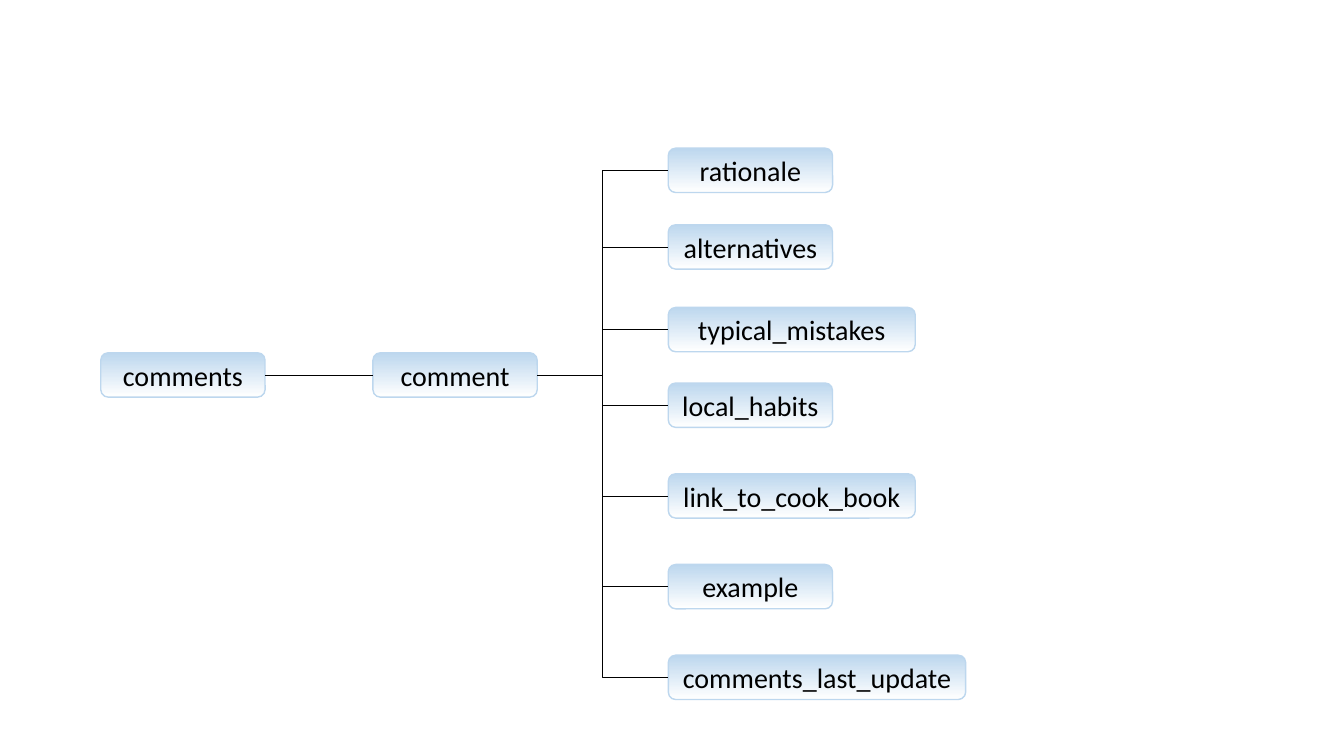
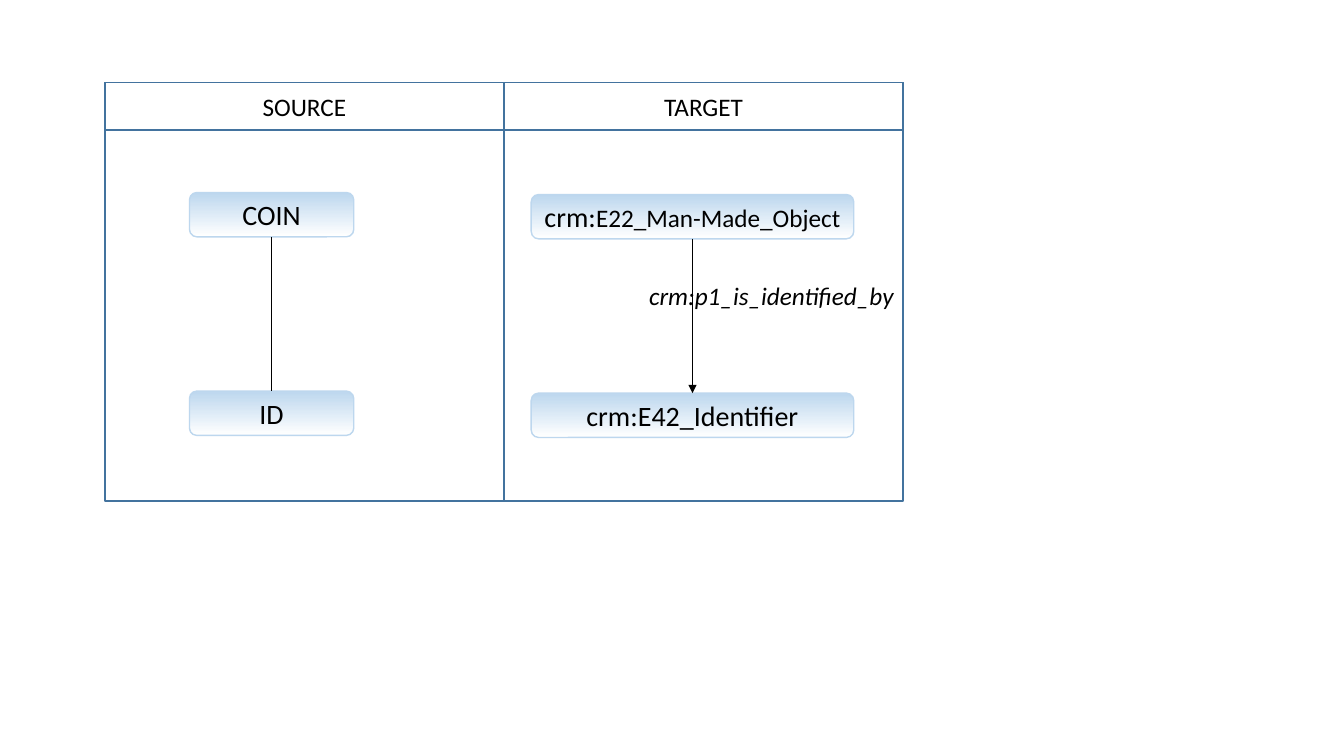
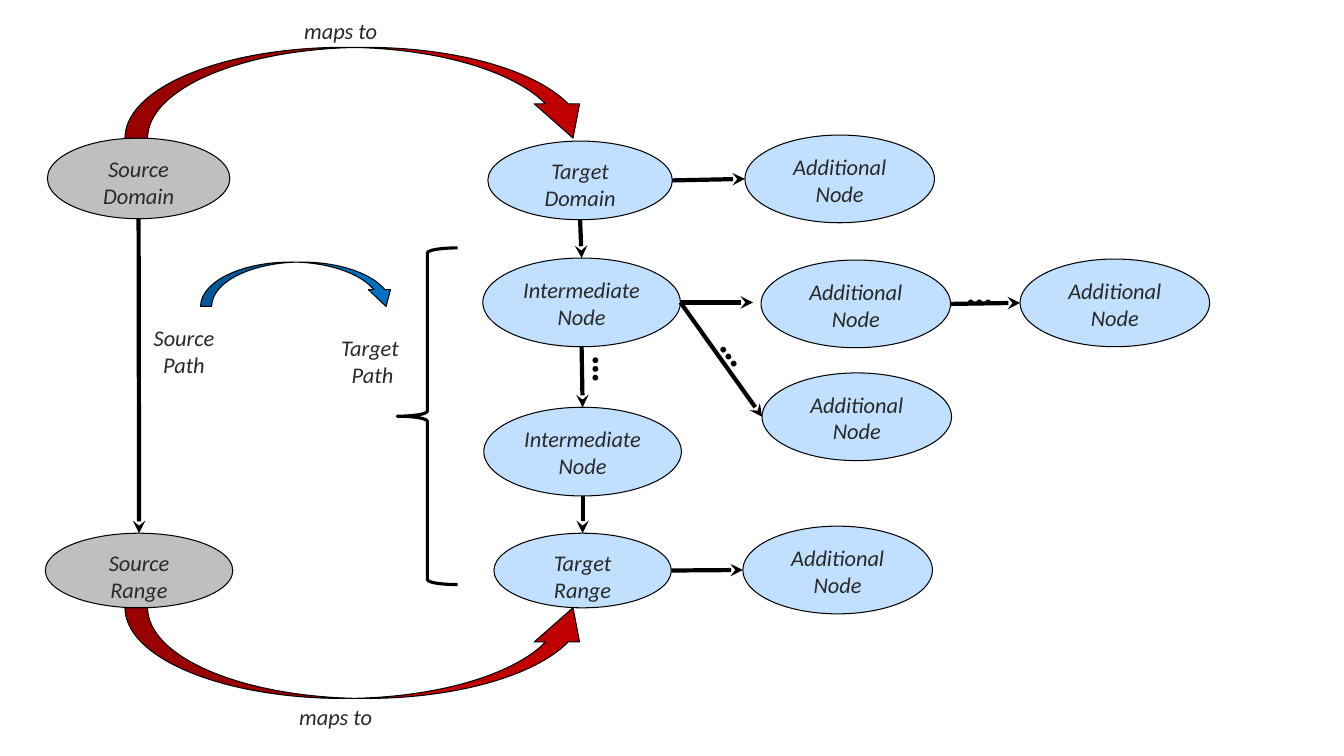
from dataclasses import dataclass

from lxml.etree import SubElement
from pptx import Presentation
from pptx.dml.color import RGBColor
from pptx.enum.shapes import MSO_CONNECTOR, MSO_SHAPE
from pptx.enum.text import MSO_ANCHOR, MSO_AUTO_SIZE, PP_ALIGN
from pptx.oxml.ns import qn
from pptx.util import Inches, Pt

CELL = Inches(0.1)
COLUMNS, ROWS = 133.33, 75
BLACK, INK, WHITE = "000000", "292929", "FFFFFF"
PALE_BLUE, NODE_BLUE, NODE_GREY = "BDD7EE", "C1E0FF", "BFBFBF"
FRAME_BLUE, ARROW_RED, ARROW_BLUE = "43739E", "C00000", "0070C0"
TAG_HEIGHT, TAG_WIDTH = 4.4, 16.3
SITES = {"top": 0, "left": 1, "bottom": 2, "right": 3}
TAG_TEXT = {"size": Pt(20), "name": "Calibri"}
HEAD_TEXT = {"size": Pt(18), "name": "Calibri"}
RELATION_TEXT = {**HEAD_TEXT, "italic": True}
NODE_TEXT = {"size": Pt(16), "name": "Calibri", "italic": True}
DOTS_TEXT = {"size": Pt(28), "name": "Calibri", "bold": True}
CENTRED_FRAME = {"vertical_anchor": MSO_ANCHOR.MIDDLE, "word_wrap": True}
TOP_FRAME = {"vertical_anchor": MSO_ANCHOR.TOP, "word_wrap": True}
LABEL_FRAME = {"word_wrap": False, "auto_size": MSO_AUTO_SIZE.SHAPE_TO_FIT_TEXT}


@dataclass
class Box:
    """A region measured in grid columns and rows."""
    left: float
    top: float
    width: float
    height: float

    def area(self, left, top, width, height):
        """Return a region offset from this one's corner."""
        return Box(self.left + left, self.top + top, width, height)

    def lengths(self):
        """Return left, top, width and height in drawing units."""
        return [round(value * CELL)
                for value in (self.left, self.top, self.width, self.height)]


def colour(code):
    """Turn a hex string into a colour."""
    return RGBColor.from_string(code)


def set_all(target, formats):
    """Set every attribute listed in the formats."""
    for name, value in formats.items():
        setattr(target, name, value)


def write(frame, lines, frame_format, ink=BLACK, align=PP_ALIGN.CENTER):
    """Fill a text frame with lines, each a list of text and font formats."""
    set_all(frame, frame_format)
    for index, pieces in enumerate(lines):
        paragraph = frame.add_paragraph() if index else frame.paragraphs[0]
        paragraph.alignment = align
        for text, font_format in pieces:
            run = paragraph.add_run()
            run.text = text
            set_all(run.font, font_format)
            run.font.color.rgb = colour(ink)


def outline(slide, preset, box, fill=None, line=BLACK, width=0.75):
    """Draw a preset shape with a plain fill or none."""
    shape = slide.shapes.add_shape(preset, *box.lengths())
    shape.shadow.inherit = False
    if fill:
        shape.fill.solid()
        shape.fill.fore_color.rgb = colour(fill)
    else:
        shape.fill.background()
    shape.line.color.rgb = colour(line)
    shape.line.width = Pt(width)
    return shape


def tag(slide, box, *pieces):
    """Draw a rounded tag that fades from blue to white."""
    shape = outline(slide, MSO_SHAPE.ROUNDED_RECTANGLE, box, None, PALE_BLUE, 1)
    shape.fill.gradient()
    shape.fill.gradient_angle = 270
    for stop, code in zip(shape.fill.gradient_stops, (PALE_BLUE, WHITE)):
        stop.color.rgb = colour(code)
    write(shape.text_frame, [pieces], CENTRED_FRAME)
    return shape


def node(slide, box, text, fill=NODE_BLUE):
    """Draw an elliptical node with its name."""
    shape = outline(slide, MSO_SHAPE.OVAL, box, fill)
    write(shape.text_frame, [[(text, NODE_TEXT)]], TOP_FRAME, INK)
    return shape


def label(slide, box, lines, font_format, ink=INK, align=PP_ALIGN.CENTER, turn=0):
    """Place free text, turned by the given degrees."""
    text_box = slide.shapes.add_textbox(*box.lengths())
    write(text_box.text_frame, [[(line, font_format)] for line in lines],
          LABEL_FRAME, ink, align)
    text_box.rotation = turn


def edge(shape, side):
    """Return the middle of one side of a shape."""
    across = {"left": 0, "right": 1}.get(side, 0.5)
    down = {"top": 0, "bottom": 1}.get(side, 0.5)
    return (round(shape.left + across * shape.width),
            round(shape.top + down * shape.height))


def link(slide, start, end, width, head=None, kind=MSO_CONNECTOR.STRAIGHT):
    """Draw a line between two points, with an optional arrowhead."""
    connector = slide.shapes.add_connector(kind, *start, *end)
    connector.line.color.rgb = colour(BLACK)
    connector.line.width = Pt(width)
    properties = connector.element.spPr
    if head:
        SubElement(properties.find(qn("a:ln")), qn("a:tailEnd"), type=head)
    SubElement(properties, qn("a:effectLst"))
    return connector


def join(slide, first, first_side, second, second_side, **options):
    """Glue a thin line to the sides of two tags."""
    connector = link(slide, edge(first, first_side), edge(second, second_side),
                     0.5, **options)
    connector.begin_connect(first, SITES[first_side])
    connector.end_connect(second, SITES[second_side])


def flow(slide, first, first_side, second, second_side):
    """Draw a heavy arrow between the sides of two nodes."""
    link(slide, edge(first, first_side), edge(second, second_side), 3, "stealth")


def curved_arrow(slide, box, fill, upward=False):
    """Draw a curved mapping arrow, mirrored when it bends upward."""
    shape = outline(slide, MSO_SHAPE.CURVED_DOWN_ARROW, box, fill)
    for index, value in enumerate((0.25, 0.5, 0.377)):
        shape.adjustments[index] = value
    if upward:
        shape.element.spPr.find(qn("a:xfrm")).set("flipV", "1")


def comment_tree(slide, box):
    """Draw the comments element and the children of a comment."""
    children = (("rationale", 0, TAG_WIDTH), ("alternatives", 7.6, TAG_WIDTH),
                ("typical_mistakes", 15.8, 24.5), ("local_habits", 23.3, TAG_WIDTH),
                ("link_to_cook_book", 32.3, 24.5), ("example", 41.3, TAG_WIDTH),
                ("comments_last_update", 50.3, 29.5))
    comments, comment = (
        tag(slide, box.area(left, 20.3, TAG_WIDTH, TAG_HEIGHT), (name, TAG_TEXT))
        for name, left in (("comments", 0), ("comment", 27)))
    join(slide, comments, "right", comment, "left")
    for name, top, width in children:
        child = tag(slide, box.area(56.3, top, width, TAG_HEIGHT), (name, TAG_TEXT))
        join(slide, comment, "right", child, "left", kind=MSO_CONNECTOR.ELBOW)


def mapping_panel(slide, box, heading, tags, inset, first_top, width, head=None):
    """Draw a headed panel with two joined tags."""
    upper, lower = (
        tag(slide, box.area(inset, first_top + row * 19.7, width, TAG_HEIGHT), *pieces)
        for row, pieces in enumerate(tags))
    join(slide, upper, "bottom", lower, "top", head=head)
    outline(slide, MSO_SHAPE.RECTANGLE, box, None, FRAME_BLUE, 1)
    header = outline(slide, MSO_SHAPE.RECTANGLE, box.area(0, 0, box.width, 4.7),
                     None, FRAME_BLUE, 1)
    write(header.text_frame, [[(heading, HEAD_TEXT)]], CENTRED_FRAME)


def coin_mapping(slide, box):
    """Set the source and target panels side by side."""
    half = box.width / 2
    source = box.area(0, 0, half, box.height)
    target = box.area(half, 0, half, box.height)
    mapping_panel(slide, source, "SOURCE", ([("COIN", TAG_TEXT)], [("ID", TAG_TEXT)]),
                  8.4, 10.9, TAG_WIDTH)
    mapping_panel(slide, target, "TARGET",
                  ([("crm:", TAG_TEXT), ("E22_Man-Made_Object", HEAD_TEXT)],
                   [("crm:E42_Identifier", TAG_TEXT)]),
                  2.7, 11.1, 32, "triangle")
    label(slide, target.area(13.4, 19.1, 26.9, 4), ["crm:p1_is_identified_by"],
          RELATION_TEXT, BLACK, PP_ALIGN.LEFT)


def source_column(slide, box):
    """Draw the source domain, its range and the path between them."""
    domain = node(slide, box.area(0.2, 0, 18.1, 8), "Source Domain", NODE_GREY)
    extent = node(slide, box.area(0, 39.2, 18.6, 7.4), "Source Range", NODE_GREY)
    flow(slide, domain, "bottom", extent, "top")
    label(slide, box.area(9.2, 18, 9.1, 6.4), ["Source", "Path"], NODE_TEXT)


def target_column(slide, box):
    """Draw the chain of target nodes and return them from top to bottom."""
    places = (("Target Domain", 0.5, 0, 18.3, 7.8),
              ("Intermediate Node", 0, 11.6, 19.6, 8.8),
              ("Intermediate Node", 0.1, 26.4, 19.6, 8.8),
              ("Target Range", 1.1, 38.9, 17.6, 7.4))
    chain = [node(slide, box.area(*place), name) for name, *place in places]
    for upper, lower in zip(chain, chain[1:]):
        flow(slide, upper, "bottom", lower, "top")
    label(slide, box.area(9.5, 20.4, 5.9, 5.7), ["…"], DOTS_TEXT, BLACK,
          PP_ALIGN.LEFT, 90)
    return chain


def additional_nodes(slide, box, chain):
    """Draw the additional nodes and their arrows from the target chain."""
    places = ((0.2, 0), (1.8, 12.4), (27.5, 12.3), (1.9, 23.6), (0, 38.8))
    by_domain, near, far, below, by_range = (
        node(slide, box.area(left, top, 18.8, 8.7), "Additional Node")
        for left, top in places)
    domain, intermediate, _, extent = chain
    for start, end in ((domain, by_domain), (near, far),
                       (intermediate, below), (extent, by_range)):
        flow(slide, start, "right", end, "left")
    start_x, start_y = edge(intermediate, "right")
    link(slide, (start_x, start_y), (round(start_x + 7.2 * CELL), start_y), 3, "stealth")
    for left, top, turn in ((21.1, 12.5, 0), (-3, 18.9, 53.2)):
        label(slide, box.area(left, top, 5.9, 5.7), ["…"], DOTS_TEXT, BLACK,
              PP_ALIGN.LEFT, turn)


def mapping_arrows(slide, box):
    """Draw the arrows, captions and brace that relate source to target."""
    for top, caption_left, caption_top, upward in (
            (3.5, 16.8, 0, False), (59.1, 16.3, 68.1, True)):
        curved_arrow(slide, box.area(0, top, 46.7, 9), ARROW_RED, upward)
        label(slide, box.area(caption_left, caption_top, 10, 3.7), ["maps to"],
              NODE_TEXT, align=PP_ALIGN.LEFT)
    curved_arrow(slide, box.area(7.5, 24.8, 19.5, 4.4), ARROW_BLUE)
    label(slide, box.area(20.1, 31.5, 8.9, 6.4), ["Target ", "Path"], NODE_TEXT)
    outline(slide, MSO_SHAPE.LEFT_BRACE, box.area(27, 23.4, 6, 33.4), width=2.25)


def path_mapping(slide, box):
    """Assemble the source, target and additional regions."""
    source_column(slide, box.area(0, 12.5, 18.6, 46.6))
    chain = target_column(slide, box.area(43.4, 12.8, 19.7, 46.3))
    additional_nodes(slide, box.area(69.2, 12.2, 46.3, 47.5), chain)
    mapping_arrows(slide, box.area(7.9, 0, 46.7, 71.8))


def build():
    """Build and save the three slides."""
    deck = Presentation()
    set_all(deck, {"slide_width": round(COLUMNS * CELL), "slide_height": ROWS * CELL})
    for draw, box in ((comment_tree, Box(10, 14.7, 85.8, 54.7)),
                      (coin_mapping, Box(10.4, 8.2, 79.2, 41.5)),
                      (path_mapping, Box(4.5, 1.2, 115.5, 71.8))):
        draw(deck.slides.add_slide(deck.slide_layouts[6]), box)
    deck.save("out.pptx")


build()
